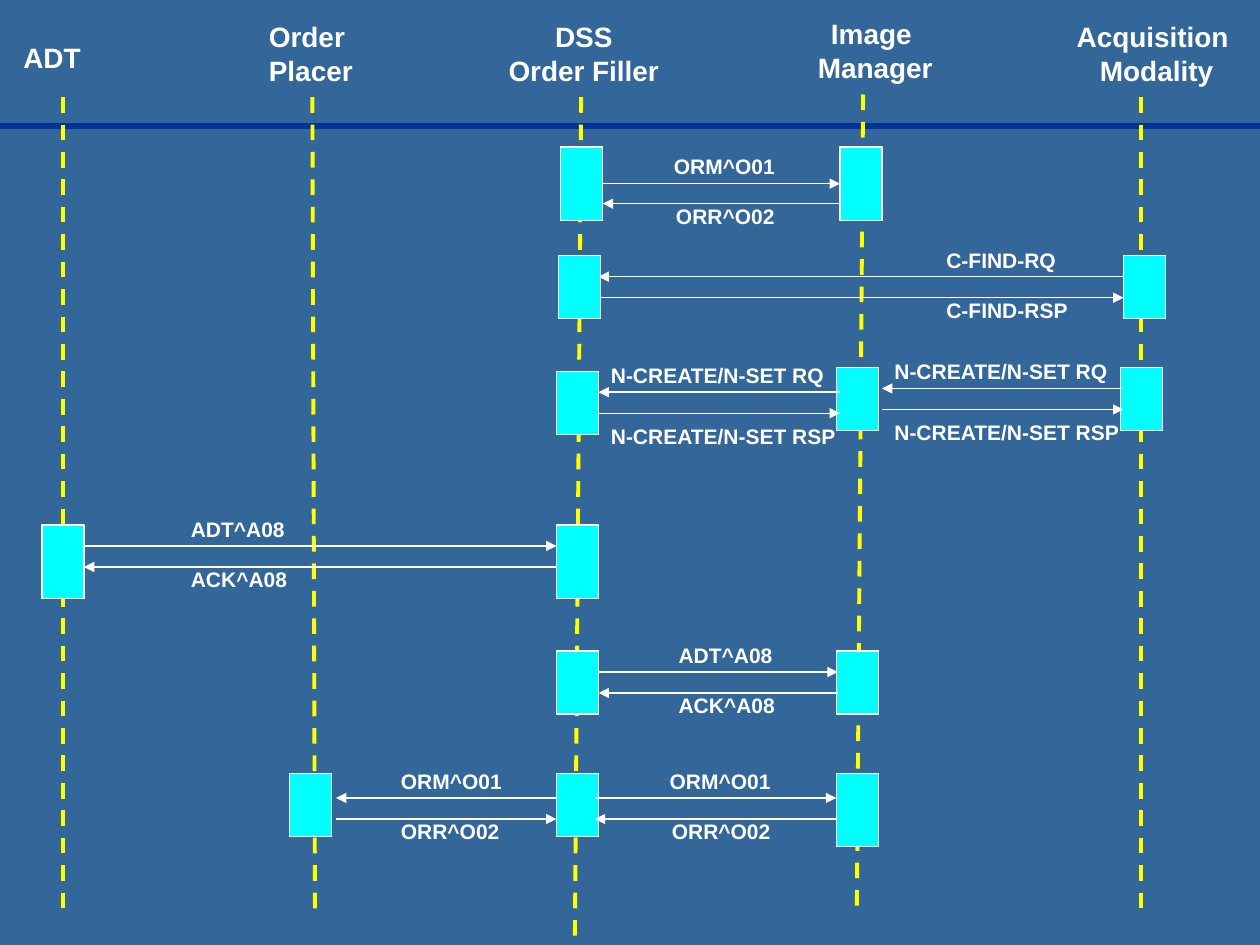
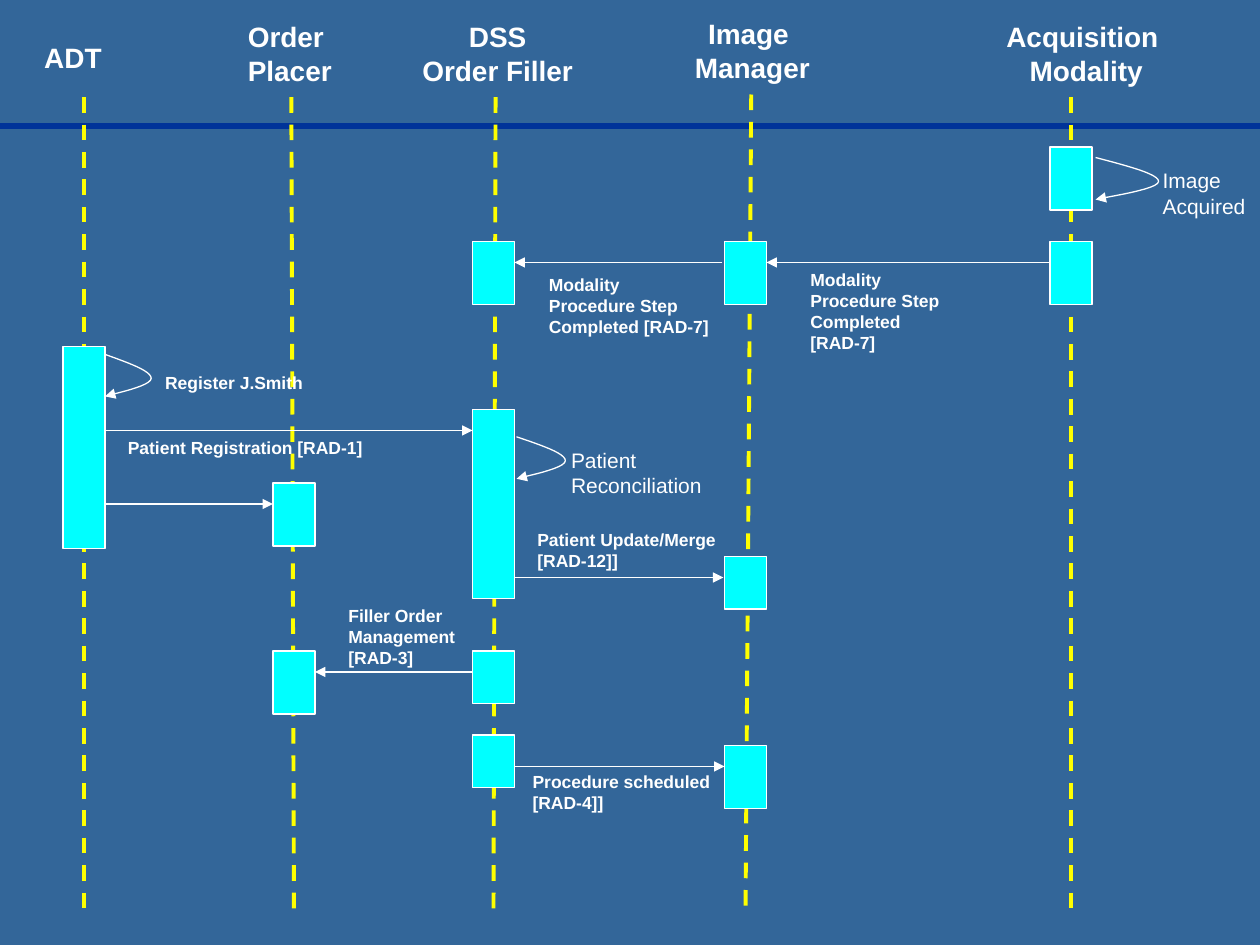
from pptx import Presentation
from pptx.dml.color import RGBColor
from pptx.enum.dml import MSO_LINE
from pptx.enum.shapes import MSO_CONNECTOR, MSO_SHAPE
from pptx.enum.text import MSO_AUTO_SIZE, PP_ALIGN
from pptx.oxml.ns import qn
from pptx.util import Inches, Pt
from lxml.etree import SubElement

COLS, ROWS = 120, 90
CELL = Inches(10) / COLS
HUES = {"back": "336699", "rule": "003399", "life": "FFFF00", "box": "00FFFF", "ink": "FFFFFF"}
HEAD = {"size": Pt(16), "bold": True}
LABEL = {"size": Pt(12), "bold": True}
NOTE = {"size": Pt(10), "bold": True}
PLAIN = {"size": Pt(12), "bold": False}

HEADS = [("ADT", 3.3, 7.9), ("Order \nPlacer", 1.3, 10.4), ("DSS\nOrder Filler", 1.3, 16.8),
         ("Image \nManager", 1, 13.3), ("Acquisition \nModality", 1.3, 17.7)]
WIDTHS = {"ADT^A08": 11.7, "ACK^A08": 11.9, "ORM^O01": 12.1, "ORR^O02": 11.9,
          "C-FIND-RQ": 13.2, "C-FIND-RSP": 14.3,
          "N-CREATE/N-SET RQ": 22.9, "N-CREATE/N-SET RSP": 24.1}
ADT = ("ADT^A08", "ACK^A08")
ORDER = ("ORM^O01", "ORR^O02")
FIND = ("C-FIND-RQ", "C-FIND-RSP")
STEP = ("N-CREATE/N-SET RQ", "N-CREATE/N-SET RSP")

FLOW = {
    "heads": [1, 24.4, 47.2, 76.7, 101.3],
    "lives": [(6, 6, 9.25, 87.25), (29.75, 30, 9.25, 87.25), (55.35, 54.75, 9.25, 90),
              (82.2, 81.6, 9, 87.25), (108.7, 108.7, 9.25, 87.25)],
    "boxes": [(53.4, 14, 7), (80, 14, 7), (53.2, 24.35, 6), (107, 24.35, 6),
              (53, 35.4, 6), (79.65, 35, 6), (106.7, 35, 6), (4, 50, 7), (53, 50, 7),
              (53, 62, 6), (79.65, 62, 6), (27.6, 73.65, 6), (53, 73.65, 6),
              (79.65, 73.65, 7)],
}
SWAPS = [
    (ORDER, 57.4, 80, 17.4, (63, 63.2), 1.4),
    (FIND, 107, 57, 26.35, (88.95, 88.95), 1.4),
    (STEP, 80, 57, 37.35, (57, 57), 2.4),
    (STEP, 107, 84, 37, (84, 84), 2.4),
    (ADT, 8, 53, 52, (17, 17), 1.4),
    (ADT, 57, 79.8, 64, (63.45, 63.45), 1.4),
    (ORDER, 53, 32, 76, (37, 37), 1.4),
    (ORDER, 56.65, 79.65, 76, (62.6, 62.8), 1.4),
]
CASE = {
    "heads": [3, 22.4, 39, 65, 94.6],
    "lives": [(8, 8, 9.25, 87.25), (27.75, 28, 9.25, 87.25), (47.2, 47, 9.25, 87.25),
              (71.55, 71, 9, 87.25), (102, 102, 9.25, 87.25)],
    "boxes": [(100, 14, 6), (45, 23, 6), (69, 23, 6), (100, 23, 6), (6, 33, 19.25),
              (45, 39, 18), (26, 46, 6), (69, 53, 5), (26, 62, 6), (45, 62, 5),
              (45, 70, 5), (69, 71, 6)],
}
ARROWS = [(100, 73, 25), (68.8, 49, 25), (10, 45, 41), (10, 26, 48),
          (49, 68.9, 55), (45, 30, 64), (49, 69, 73)]
LOOPS = [(104.35, 15, 6), (10, 33.75, 4.4), (49.2, 41.6, 4.65)]
NOTES = [
    ("Image\nAcquired", 109.55, 15.4, 10.3, PLAIN),
    ("Patient\nReconciliation", 53.2, 42, 15.3, PLAIN),
    ("Modality\nProcedure Step\nCompleted\n[RAD-7]", 76, 25, 14.8, NOTE),
    ("Modality\nProcedure Step\nCompleted [RAD-7]", 51.1, 25.5, 17.9, NOTE),
    ("Register J.Smith", 14.55, 34.8, 15.5, NOTE),
    ("Patient Registration [RAD-1]", 11, 41, 24.9, NOTE),
    ("Patient Update/Merge\n[RAD-12]]", 50, 49.8, 19.6, NOTE),
    ("Filler Order\nManagement\n[RAD-3]", 32, 57, 12.8, NOTE),
    ("Procedure scheduled\n[RAD-4]]", 49.55, 72.8, 19.5, NOTE),
]


def cells(*counts):
    return [round(n * CELL) for n in counts]


def hue(name):
    return RGBColor.from_string(HUES[name])


def pen(line, name, width):
    line.color.rgb = hue(name)
    line.width = Pt(width)


def tip(line):
    SubElement(line._get_or_add_ln(), qn("a:tailEnd"), type="triangle")


def text(slide, words, x, y, wide, style, align=PP_ALIGN.LEFT):
    tall = (words.count("\n") + 1) * style["size"].pt * 0.2 + 1.2
    frame = slide.shapes.add_textbox(*cells(x, y, wide, tall)).text_frame
    frame.text = words
    frame.word_wrap = False
    frame.auto_size = MSO_AUTO_SIZE.SHAPE_TO_FIT_TEXT
    for para in frame.paragraphs:
        para.alignment = align
        for key, value in {"name": "Arial", **style}.items():
            setattr(para.font, key, value)
        para.font.color.rgb = hue("ink")


def stroke(slide, x1, y1, x2, y2, name="ink", width=0.75):
    link = slide.shapes.add_connector(MSO_CONNECTOR.STRAIGHT, *cells(x1, y1, x2, y2))
    pen(link.line, name, width)
    SubElement(link._element.spPr, qn("a:effectLst"))
    return link


def box(slide, x, y, tall):
    shape = slide.shapes.add_shape(MSO_SHAPE.RECTANGLE, *cells(x, y, 4, tall))
    shape.shadow.inherit = False
    shape.fill.solid()
    shape.fill.fore_color.rgb = hue("box")
    pen(shape.line, "ink", 0.75)
    return shape


def arrow(slide, boxes, x1, x2, y):
    link = stroke(slide, x1, y, x2, y)
    tip(link.line)
    for shape in boxes:
        mid = shape.top + shape.height / 2
        for side, edge in ((1, shape.left), (3, shape.left + shape.width)):
            for x, join in ((x1, link.begin_connect), (x2, link.end_connect)):
                if max(abs(x * CELL - edge), abs(y * CELL - mid)) < CELL / 8:
                    join(shape, side)


def swap(slide, boxes, pair, start, end, y, lefts, gap):
    arrow(slide, boxes, start, end, y)
    arrow(slide, boxes, end, start, y + 2)
    for words, x, top in zip(pair, lefts, (y - 3.4, y + gap)):
        text(slide, words, x, top, WIDTHS[words], LABEL)


def curve(a, b, c, d, steps=12):
    for i in range(1, steps + 1):
        t = i / steps
        u = 1 - t
        yield [u**3 * p + 3 * u * u * t * q + 3 * u * t * t * r + t**3 * s
               for p, q, r, s in zip(a, b, c, d)]


def loop(slide, x, y, wide, tall=4):
    turn = (1, 0.57)
    dots = [*curve((0, 0), (0.5, 0.2), (1, 0.39), turn),
            *curve(turn, (1, 0.76), (0.16, 0.94), (0, 1))]
    form = slide.shapes.build_freeform(*cells(x, y))
    form.add_line_segments([cells(x + p * wide, y + q * tall) for p, q in dots], close=False)
    shape = form.convert_to_shape()
    shape.shadow.inherit = False
    shape.fill.background()
    pen(shape.line, "ink", 0.75)
    tip(shape.line)


def frame(deck, plan):
    slide = deck.slides.add_slide(deck.slide_layouts[6])
    stroke(slide, 0, 12, COLS, 12, "rule", 3)
    for (words, y, wide), x in zip(HEADS, plan["heads"]):
        text(slide, words, x, y, wide, HEAD, PP_ALIGN.CENTER)
    for top, foot, start, end in plan["lives"]:
        stroke(slide, top, start, foot, end, "life", 2.25).line.dash_style = MSO_LINE.DASH
    return slide, [box(slide, *spot) for spot in plan["boxes"]]


def main():
    deck = Presentation()
    deck.slide_width, deck.slide_height = cells(COLS, ROWS)
    back = deck.slide_master.background.fill
    back.solid()
    back.fore_color.rgb = hue("back")

    slide, boxes = frame(deck, FLOW)
    for item in SWAPS:
        swap(slide, boxes, *item)

    slide, boxes = frame(deck, CASE)
    for item in ARROWS:
        arrow(slide, boxes, *item)
    for item in LOOPS:
        loop(slide, *item)
    for item in NOTES:
        text(slide, *item)

    deck.save("out.pptx")


if __name__ == "__main__":
    main()
